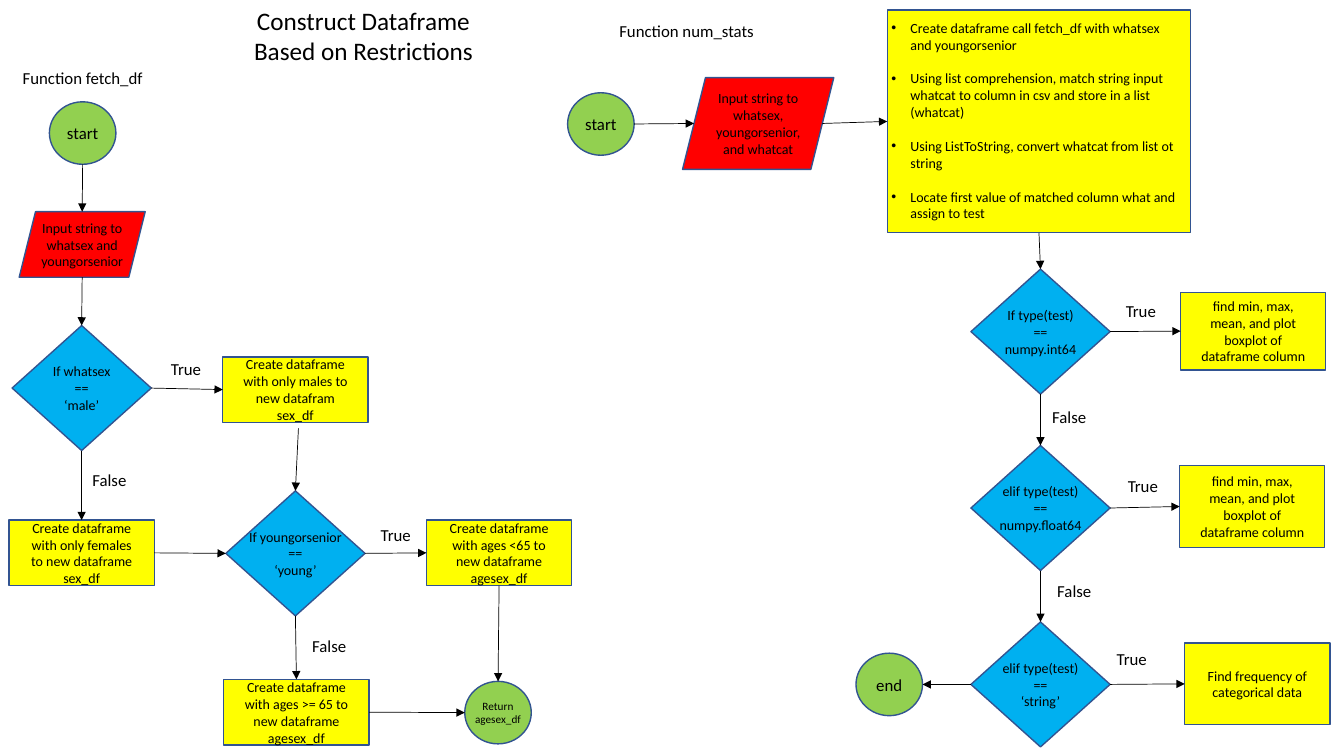
from lxml import etree
from pptx import Presentation, util as u
from pptx.dml.color import RGBColor
from pptx.enum import shapes, text
from pptx.oxml import ns

COLOURS = {
    "ink": "000000", "outline": "325491", "start": "92D050",
    "input": "FF0000", "step": "FFFF00", "decision": "00B0F0",
}
SHAPES = shapes.MSO_SHAPE
KINDS = {
    "start": (SHAPES.OVAL, 0, False),
    "input": (SHAPES.PARALLELOGRAM, 0.02, True),
    "step": (SHAPES.RECTANGLE, 0.19, True),
    "decision": (SHAPES.DIAMOND, 0, False),
}
TOP, LEFT, BOTTOM, RIGHT = range(4)
STEP_SIZE = (1.44, 0.65)
DECISION_SIZE = (1.38, 1.24)
CIRCLE_SIZE = (0.66, 0.62)


def colour(name):
    """Return the named colour."""
    return RGBColor.from_string(COLOURS[name])


def write(frame, content, size, alignment=text.PP_ALIGN.CENTER):
    """Fill a text frame and format its paragraphs."""
    frame.text = content
    for paragraph in frame.paragraphs:
        paragraph.alignment = alignment
        for run in paragraph.runs:
            run.font.size = u.Pt(size)
            run.font.name = "Calibri"
            run.font.color.rgb = colour("ink")


def add_node(slide, origin, kind, place, size, content, points=10):
    """Add a flowchart shape placed from the origin of its region."""
    outline, margin, wrap = KINDS[kind]
    left, top = (start + offset for start, offset in zip(origin, place))
    shape = slide.shapes.add_shape(outline, *map(u.Inches, (left, top, *size)))
    shape.shadow.inherit = False
    shape.fill.solid()
    shape.fill.fore_color.rgb = colour(kind)
    shape.line.color.rgb = colour("outline")
    shape.line.width = u.Pt(1)
    frame = shape.text_frame
    frame.word_wrap = wrap
    frame.vertical_anchor = text.MSO_ANCHOR.MIDDLE
    frame.margin_left = frame.margin_right = u.Inches(margin)
    frame.margin_top = frame.margin_bottom = 0
    write(frame, content, points)
    return shape


def add_caption(slide, origin, place, content, size=(0.69, 0.3), points=12):
    """Add centred text placed from the origin of its region."""
    left, top = (start + offset for start, offset in zip(origin, place))
    caption = slide.shapes.add_textbox(*map(u.Inches, (left, top, *size)))
    caption.text_frame.word_wrap = True
    write(caption.text_frame, content, points)


def side_point(shape, side):
    """Return the middle of one side of a shape."""
    slant = 0
    if shape.auto_shape_type == SHAPES.PARALLELOGRAM:
        slant = shape.height // 8
    middle = shape.left + shape.width // 2
    centre = shape.top + shape.height // 2
    return {
        TOP: (middle, shape.top),
        LEFT: (shape.left + slant, centre),
        BOTTOM: (middle, shape.top + shape.height),
        RIGHT: (shape.left + shape.width - slant, centre),
    }[side]


def add_arrow(slide, source, source_side, target, target_side, start=None):
    """Add an arrow between two sides, or from a loose start point."""
    begin = start or side_point(source, source_side)
    arrow = slide.shapes.add_connector(
        shapes.MSO_CONNECTOR.STRAIGHT, *begin, *side_point(target, target_side))
    joinable = (SHAPES.RECTANGLE, SHAPES.DIAMOND)
    if not start and source.auto_shape_type in joinable:
        arrow.begin_connect(source, source_side)
    if target.auto_shape_type in joinable:
        arrow.end_connect(target, target_side)
    arrow.line.color.rgb = colour("ink")
    arrow.line.width = u.Pt(0.5)
    etree.SubElement(arrow.line._get_or_add_ln(), ns.qn("a:tailEnd"), type="triangle")
    etree.SubElement(arrow._element.spPr, ns.qn("a:effectLst"))


def format_list(shape):
    """Turn the text of a step into a spaced bullet list."""
    frame = shape.text_frame
    frame.vertical_anchor = text.MSO_ANCHOR.TOP
    frame.margin_left, frame.margin_right = u.Inches(0.04), u.Inches(0.1)
    frame.margin_top = u.Inches(0.09)
    for index, paragraph in enumerate(frame.paragraphs):
        paragraph.alignment = text.PP_ALIGN.LEFT
        paragraph.space_before = u.Pt(12.2 if index else 0)
        properties = paragraph._p.get_or_add_pPr()
        properties.set("marL", str(u.Inches(0.19)))
        properties.set("indent", str(-u.Inches(0.19)))
        etree.SubElement(properties, ns.qn("a:buFont"), typeface="Arial")
        etree.SubElement(properties, ns.qn("a:buChar"), char="•")


def draw_fetch_df(slide, left, top):
    """Draw the fetch_df flowchart."""
    origin = (left, top)
    add_caption(slide, origin, (0.01, 0.02), "Function fetch_df", (1.62, 0.3))
    parts = {
        "start": ("start", (0.49, 0.41), CIRCLE_SIZE, "start", 12),
        "input": ("input", (0.19, 1.5), (1.25, 0.65),
                  "Input string to whatsex and youngorsenior"),
        "sex": ("decision", (0.12, 2.63), DECISION_SIZE, "If whatsex\n==\n‘male’"),
        "male": ("step", (2.21, 2.94), STEP_SIZE,
                 "Create dataframe with only males to new datafram sex_df"),
        "female": ("step", (0.09, 4.56), STEP_SIZE,
                   "Create dataframe with only females to new dataframe sex_df"),
        "age": ("decision", (2.24, 4.27), DECISION_SIZE,
                "If youngorsenior\n==\n‘young’"),
        "young": ("step", (4.23, 4.56), STEP_SIZE,
                  "Create dataframe with ages <65 to new dataframe agesex_df"),
        "senior": ("step", (2.22, 6.14), STEP_SIZE,
                   "Create dataframe with ages >= 65 to new dataframe agesex_df"),
        "return": ("start", (4.61, 6.16), CIRCLE_SIZE, "Return\vagesex_df", 8),
    }
    nodes = {name: add_node(slide, origin, *part) for name, part in parts.items()}
    for source, source_side, target, target_side in (
            ("start", BOTTOM, "input", TOP), ("input", BOTTOM, "sex", TOP),
            ("sex", RIGHT, "male", LEFT), ("sex", BOTTOM, "female", TOP),
            ("female", RIGHT, "age", LEFT), ("age", RIGHT, "young", LEFT),
            ("age", BOTTOM, "senior", TOP), ("young", BOTTOM, "return", TOP),
            ("senior", RIGHT, "return", LEFT)):
        add_arrow(slide, nodes[source], source_side, nodes[target], target_side)
    below_male = (u.Inches(left + 2.96), u.Inches(top + 3.65))
    add_arrow(slide, nodes["male"], BOTTOM, nodes["age"], TOP, below_male)
    for place, answer in (((1.5, 2.91), "True"), ((0.74, 4.01), "False"),
                          ((3.58, 4.56), "True"), ((2.92, 5.66), "False")):
        add_caption(slide, origin, place, answer)


def draw_num_stats(slide, left, top):
    """Draw the num_stats flowchart."""
    origin = (left, top)
    add_caption(slide, origin, (0.4, 0.16), "Function num_stats", (1.62, 0.3))
    start = add_node(slide, origin, "start", (0.03, 0.92), CIRCLE_SIZE, "start", 12)
    strings = add_node(slide, origin, "input", (1.17, 0.77), (1.5, 0.91),
                       "Input string to whatsex, youngorsenior, and whatcat")
    prepare = add_node(
        slide, origin, "step", (3.2, 0.1), (3.01, 2.21),
        "Create dataframe call fetch_df with whatsex and youngorsenior\n"
        "Using list comprehension, match string input whatcat to column in csv "
        "and store in a list (whatcat)\n"
        "Using ListToString, convert whatcat from list ot string\n"
        "Locate first value of matched column what and assign to test")
    format_list(prepare)
    add_arrow(slide, start, RIGHT, strings, LEFT)
    add_arrow(slide, strings, RIGHT, prepare, LEFT)
    summary = "find min, max, mean, and plot boxplot of dataframe column"
    tests = (
        ("If type(test)\n==\nnumpy.int64", summary, (6.11, 2.9), 0.77, (5.37, 2.93)),
        ("elif type(test)\n==\nnumpy.float64", summary, (6.1, 4.62), 0.81, (5.39, 4.67)),
        ("elif type(test)\n==\n‘string’", "Find frequency of categorical data",
         (6.15, 6.38), 0.81, (5.28, 6.39)),
    )
    previous = prepare
    for row, (question, result, place, height, answer_place) in enumerate(tests):
        decision = add_node(slide, origin, "decision", (4.03, 2.67 + 1.75 * row),
                            DECISION_SIZE, question)
        outcome = add_node(slide, origin, "step", place, (1.44, height), result)
        add_arrow(slide, previous, BOTTOM, decision, TOP)
        add_arrow(slide, decision, RIGHT, outcome, LEFT)
        add_caption(slide, origin, answer_place, "True")
        previous = decision
    for place in ((4.66, 3.99), (4.71, 5.71)):
        add_caption(slide, origin, place, "False")
    end = add_node(slide, origin, "start", (2.89, 6.48), CIRCLE_SIZE, "end", 12)
    add_arrow(slide, previous, LEFT, end, RIGHT)


def main():
    """Build the slide and save it."""
    presentation = Presentation()
    presentation.slide_width = u.Inches(13.33)
    presentation.slide_height = u.Inches(7.5)
    slide = presentation.slides.add_slide(presentation.slide_layouts[6])
    add_caption(slide, (0, 0), (2.17, 0),
                "Construct Dataframe Based on Restrictions", (2.87, 0.71), 18)
    draw_fetch_df(slide, 0, 0.6)
    draw_num_stats(slide, 5.6, 0)
    presentation.save("out.pptx")


if __name__ == "__main__":
    main()
